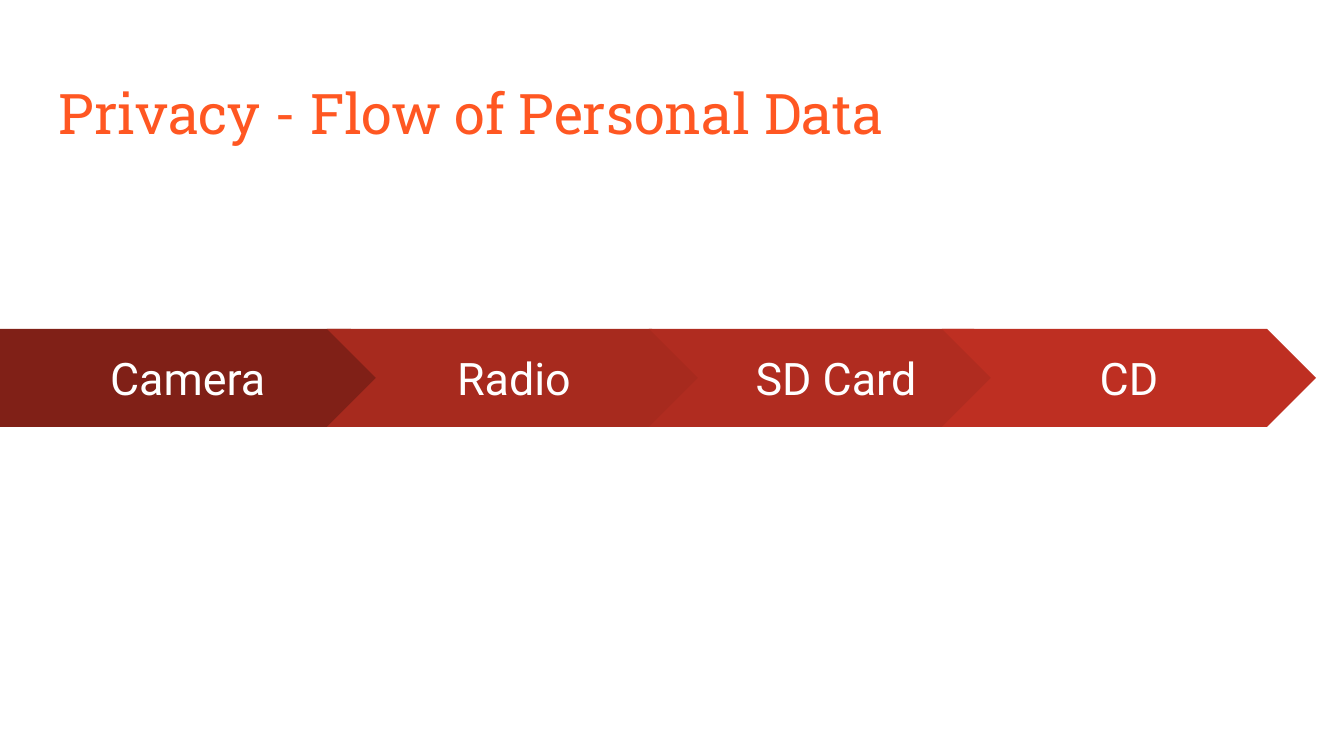
import pptx
import pptx.util
import pptx.dml.color
import pptx.enum.shapes
import pptx.enum.text

PX = 6804  # EMU per px, at 134.4 px to the inch
COLORS = {
    "title": "FF5722",
    "label": "FFFFFF",
    "camera": "802017",
    "radio": "A72A1E",
    "sd_card": "B02C20",
    "cd": "BE2F22",
}
ANCHOR = pptx.enum.text.MSO_ANCHOR
ALIGN = pptx.enum.text.PP_ALIGN
SHAPE = pptx.enum.shapes.MSO_SHAPE


def px(length):
    return pptx.util.Emu(length * PX)


def write(shape, text, font_name, size, color, anchor, align):
    frame = shape.text_frame
    frame.text = text
    frame_format = {
        "word_wrap": True,
        "auto_size": pptx.enum.text.MSO_AUTO_SIZE.NONE,
        "vertical_anchor": anchor,
        "margin_left": px(13),
        "margin_right": px(13),
        "margin_top": px(13),
        "margin_bottom": px(13),
    }
    for name, value in frame_format.items():
        setattr(frame, name, value)
    paragraph = frame.paragraphs[0]
    paragraph.alignment = align
    paragraph.line_spacing = 1.0
    font = paragraph.runs[0].font
    for name, value in {"name": font_name, "size": pptx.util.Pt(size)}.items():
        setattr(font, name, value)
    font.color.rgb = pptx.dml.color.RGBColor.from_string(COLORS[color])


presentation = pptx.Presentation()
presentation.slide_width = px(1344)
presentation.slide_height = px(756)
slide = presentation.slides.add_slide(presentation.slide_layouts[5])

title = slide.shapes.title
title_place = {"left": 46, "top": 66, "width": 1252, "height": 85}
for side, length in title_place.items():
    setattr(title, side, px(length))
write(title, "Privacy - Flow of Personal Data", "Roboto Slab", 30, "title",
      ANCHOR.TOP, ALIGN.LEFT)

# Each step overlaps the point of the one before it.
steps = [
    ("Camera", SHAPE.PENTAGON, 0, 400, "camera"),
    ("Radio", SHAPE.CHEVRON, 327, 374, "radio"),
    ("SD Card", SHAPE.CHEVRON, 649, 374, "sd_card"),
    ("CD", SHAPE.CHEVRON, 942, 374, "cd"),
]
for label, outline, left, width, color in steps:
    step = slide.shapes.add_shape(outline, px(left), px(329), px(width), px(98))
    step.adjustments[0] = 0.5
    step.shadow.inherit = False
    step.fill.solid()
    step.fill.fore_color.rgb = pptx.dml.color.RGBColor.from_string(COLORS[color])
    step.line.fill.background()
    write(step, label, "Roboto", 24, "label", ANCHOR.MIDDLE, ALIGN.CENTER)

presentation.save("out.pptx")
